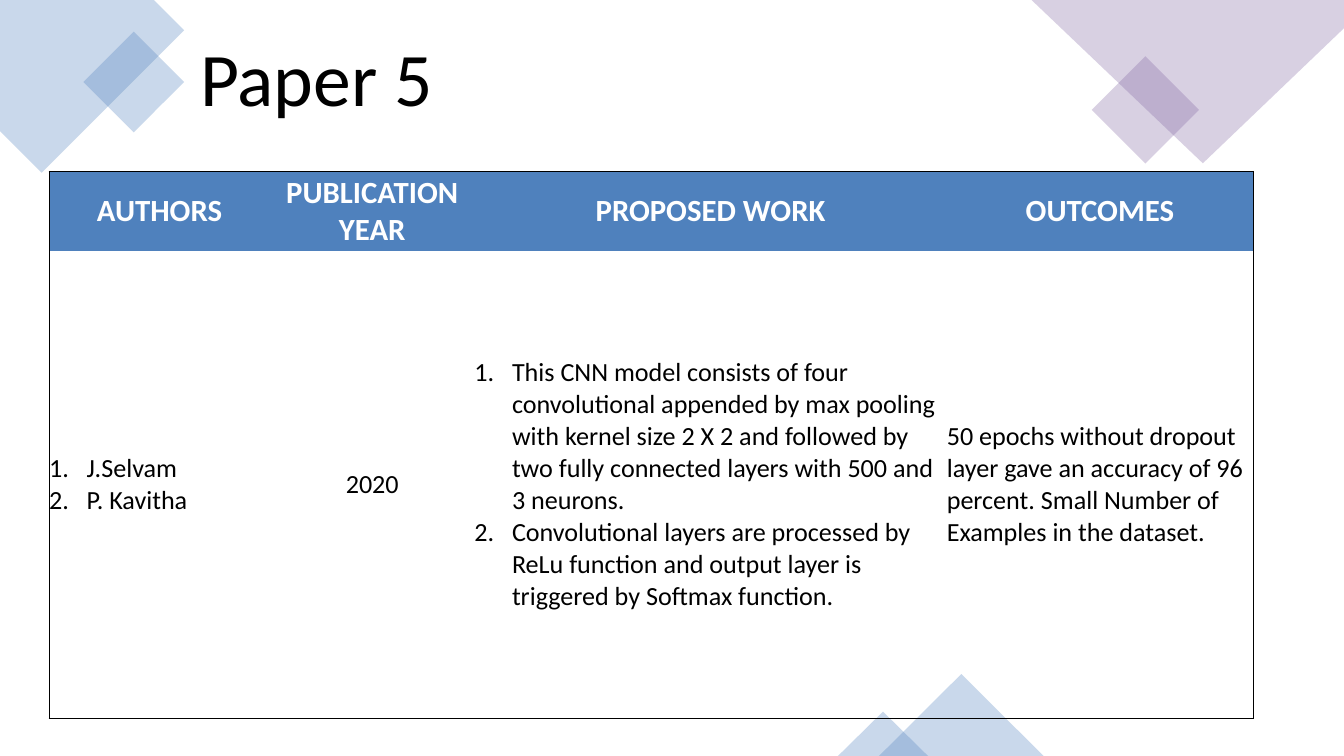
from lxml.etree import SubElement
from pptx import Presentation
from pptx.dml.color import RGBColor
from pptx.enum.shapes import MSO_SHAPE
from pptx.enum.text import MSO_ANCHOR, MSO_AUTO_SIZE, PP_ALIGN
from pptx.oxml.ns import qn
from pptx.util import Inches, Pt

COLORS = {"blue": "4F81BD", "purple": "8064A2", "black": "000000", "white": "FFFFFF"}
NO_STYLE = "{2D5ABB26-0587-4C30-8999-92F81FD0307C}"


def rgb(name):
    return RGBColor.from_string(COLORS[name])


class SlideBuilder:
    font = "Calibri"
    opacity = 30
    indent = 0.56

    def __init__(self, slide):
        self.s = slide

    def tint(self, sp, color):
        sp.shadow.inherit = False
        sp.fill.solid()
        sp.fill.fore_color.rgb = rgb(color)
        clr = sp.fill._xPr.find(qn("a:solidFill"))[0]
        SubElement(clr, qn("a:alpha"), val=str(self.opacity * 1000))
        sp.line.fill.background()

    def polygon(self, points, color):
        pts = [(Inches(x), Inches(y)) for x, y in points]
        fb = self.s.shapes.build_freeform(*pts[0])
        fb.add_line_segments(pts[1:], close=True)
        self.tint(fb.convert_to_shape(), color)

    def shape(self, kind, x, y, w, h, color, rotation=0):
        sp = self.s.shapes.add_shape(kind, Inches(x), Inches(y), Inches(w), Inches(h))
        sp.rotation = rotation
        self.tint(sp, color)

    def style(self, p, size, color, bold=False, align=PP_ALIGN.LEFT):
        p.alignment = align
        p.font.name, p.font.size, p.font.bold = self.font, Pt(size), bold
        p.font.color.rgb = rgb(color)

    def number(self, p):
        pPr = p._p.get_or_add_pPr()
        pPr.set("marL", str(Inches(self.indent)))
        pPr.set("indent", str(-Inches(self.indent)))
        bullet = pPr.makeelement(qn("a:buAutoNum"), {"type": "arabicPeriod"})
        pPr.insert_element_before(bullet, "a:tabLst", "a:defRPr", "a:extLst")

    def borders(self, cell, sides):
        tcPr = cell._tc.get_or_add_tcPr()
        for i, side in enumerate(sides):
            ln = tcPr.makeelement(qn(f"a:ln{side}"), {"w": str(Pt(1))})
            fill = SubElement(ln, qn("a:solidFill"))
            SubElement(fill, qn("a:srgbClr"), val=COLORS["black"])
            tcPr.insert(i, ln)

    def cell(self, cell, lines, header, centred):
        cell.vertical_anchor = MSO_ANCHOR.MIDDLE
        cell.margin_left = cell.margin_right = cell.margin_top = cell.margin_bottom = 0
        if header:
            cell.fill.solid()
            cell.fill.fore_color.rgb = rgb("blue")
        else:
            cell.fill.background()
        tf = cell.text_frame
        tf.text = "\n".join(lines)
        for p in tf.paragraphs:
            self.style(p, 33 if header else 28, "white" if header else "black",
                       header, PP_ALIGN.CENTER if centred else PP_ALIGN.LEFT)
            if len(lines) > 1:
                self.number(p)

    def table(self, x, y, widths, heights, rows, centred_col):
        last_row, last_col = len(heights) - 1, len(widths) - 1
        frame = self.s.shapes.add_table(
            len(heights), len(widths), Inches(x), Inches(y),
            Inches(sum(widths)), Inches(sum(heights)))
        tbl = frame.table
        tbl.horz_banding = False
        tbl._tbl.tblPr.find(qn("a:tableStyleId")).text = NO_STYLE
        for col, w in zip(tbl.columns, widths):
            col.width = Inches(w)
        for r, h in enumerate(heights):
            tbl.rows[r].height = Inches(h)
            for c, lines in enumerate(rows[r]):
                cell = tbl.cell(r, c)
                self.cell(cell, lines, r == 0, r == 0 or c == centred_col)
                # Only the outer frame is ruled
                edges = {"L": c == 0, "R": c == last_col, "T": r == 0, "B": r == last_row}
                self.borders(cell, [side for side, ruled in edges.items() if ruled])

    def title(self, text, x, y, w, h):
        sp = self.s.shapes.title
        sp.left, sp.top, sp.width, sp.height = (Inches(v) for v in (x, y, w, h))
        tf = sp.text_frame
        tf.text = text
        tf.word_wrap = True
        tf.auto_size = MSO_AUTO_SIZE.NONE
        tf.vertical_anchor = MSO_ANCHOR.BOTTOM
        p = tf.paragraphs[0]
        self.style(p, 81, "black")
        p.line_spacing, p.space_after = 0.9, Pt(6)
        self.s.shapes._spTree.append(sp._element)  # bring to front


def main():
    prs = Presentation()
    prs.slide_width, prs.slide_height = Inches(20), Inches(11.25)
    b = SlideBuilder(prs.slides.add_slide(prs.slide_layouts[5]))

    # Corner decorations
    b.polygon([(2.29, 0), (0, 0), (0, 1.95), (0.62, 2.57), (2.74, 0.45)], "blue")
    b.shape(MSO_SHAPE.RECTANGLE, 1.46, 0.69, 1.06, 1.06, "blue", 315)
    b.shape(MSO_SHAPE.RECTANGLE, 16.48, 1.07, 1.13, 1.13, "purple", 315)
    b.polygon([(20, 0), (15.35, 0), (17.9, 2.43), (20, 0.42)], "purple")
    b.shape(MSO_SHAPE.ISOSCELES_TRIANGLE, 13.08, 10.03, 2.45, 1.22, "blue")
    b.shape(MSO_SHAPE.ISOSCELES_TRIANGLE, 12.47, 10.59, 1.34, 0.66, "blue")

    # Paper summary
    b.table(0.73, 2.55, [3.29, 3.04, 7.03, 4.56], [1.19, 6.95], [
        [["AUTHORS"], ["PUBLICATION YEAR"], ["PROPOSED WORK"], ["OUTCOMES"]],
        [
            ["J.Selvam", "P. Kavitha"],
            ["2020"],
            ["This CNN model consists of four convolutional appended by max pooling "
             "with kernel size 2 X 2 and followed by two fully connected layers "
             "with 500 and 3 neurons.",
             "Convolutional layers are processed by ReLu function and output layer "
             "is triggered by Softmax function."],
            ["50 epochs without dropout layer gave an accuracy of 96 percent. "
             "Small Number of Examples in the dataset."],
        ],
    ], centred_col=1)

    # Title
    b.title("Paper 5", 2.88, 0.4, 12.27, 1.48)
    prs.save("out.pptx")


if __name__ == "__main__":
    main()
